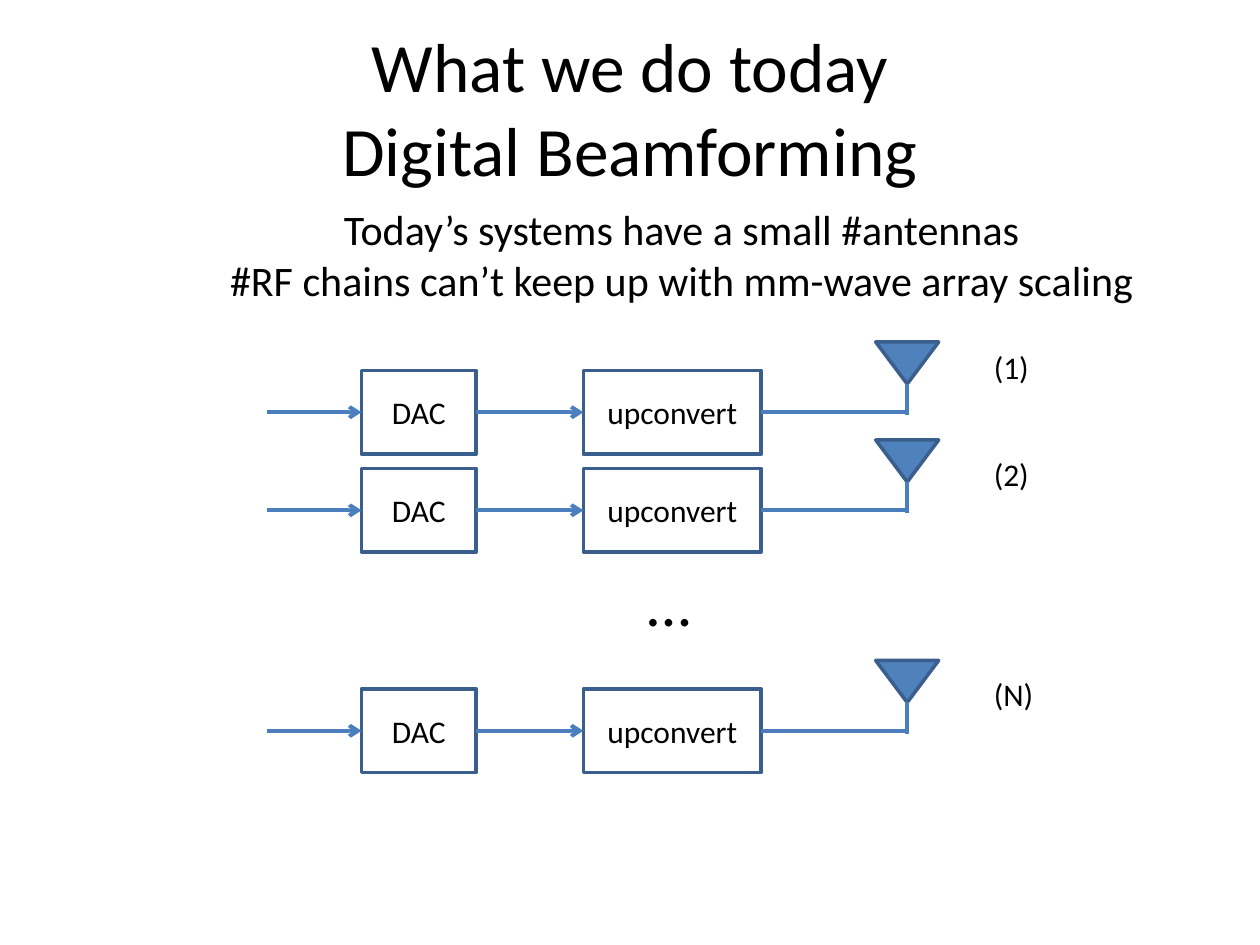
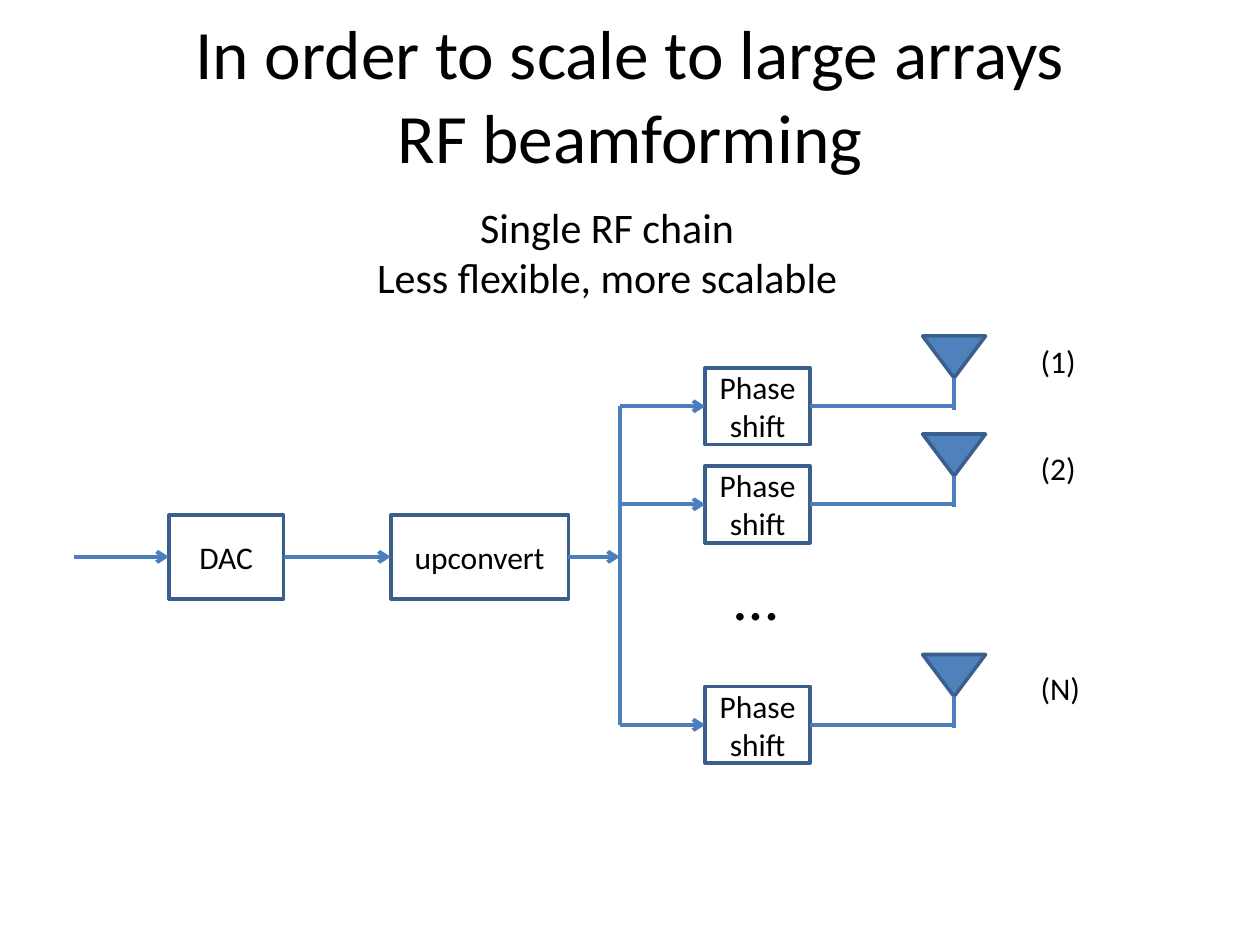
from dataclasses import dataclass
from lxml.etree import SubElement
from pptx import Presentation
from pptx.dml.color import RGBColor
from pptx.enum.shapes import MSO_CONNECTOR, MSO_SHAPE
from pptx.enum.text import MSO_ANCHOR, PP_ALIGN
from pptx.oxml.ns import qn
from pptx.util import Pt

DIGITAL = {
    "title": ("What we do today\vDigital Beamforming", 16),
    "notes": ("Today’s systems have a small #antennas\n"
              "#RF chains can’t keep up with mm-wave array scaling", 120.2, 113, 538.6),
    "axis": 235.6, "mast": 518.4, "dots": 362.9,
}
RADIO = {
    "title": ("In order to scale to large arrays\vRF beamforming", 8.6),
    "notes": ("Single RF chain\nLess flexible, more scalable", 206.6, 111.6, 280.8),
    "axis": 232.2, "mast": 545.2, "dots": 412.6,
}
# label, drop of the row below the first one, rise of the label above its row
ROWS = [("(1)", 0, 40.4), ("(2)", 56, 35.2), ("(N)", 182, 35.2)]
STAGES = [("DAC", 0, 65.5), ("upconvert", 126.8, 101.5)]
STAGE_H, LEAD = 48, 54
PHASE, PHASE_X, PHASE_W, PHASE_H = "Phase\nshift", 403, 59.8, 44
BUS, TRUNK = 354.2, 318.2


@dataclass(frozen=True)
class Theme:
    font: str = "Calibri"
    ink: RGBColor = RGBColor(0, 0, 0)
    blue: RGBColor = RGBColor(0x4F, 0x81, 0xBD)
    edge: RGBColor = RGBColor(0x3A, 0x5F, 0x8C)
    wire: RGBColor = RGBColor(0x4B, 0x7E, 0xBC)
    title: float = 39.6
    notes: float = 24
    label: float = 18
    dots: float = 36
    rim: float = 2
    cable: float = 2.25


LOOK = Theme()


def apply(target, values):
    for name, value in values.items():
        setattr(target, name, value)


def write(shape, text, size, align=PP_ALIGN.CENTER, **frame):
    body = shape.text_frame
    body.text = text
    apply(body, frame)
    for para in body.paragraphs:
        para.alignment = align
        apply(para.font, {"name": LOOK.font, "size": Pt(size)})
        para.font.color.rgb = LOOK.ink


def add_text(slide, text, size, spot, **style):
    write(slide.shapes.add_textbox(*map(Pt, spot)), text, size, **style)


def add_solid(slide, kind, spot, fill=None):
    shape = slide.shapes.add_shape(kind, *map(Pt, spot))
    shape.shadow.inherit = False
    if fill is None:
        shape.fill.background()
    else:
        shape.fill.solid()
        shape.fill.fore_color.rgb = fill
    shape.line.color.rgb = LOOK.edge
    shape.line.width = Pt(LOOK.rim)
    return shape


def add_box(slide, text, left, mid, width, height):
    box = add_solid(slide, MSO_SHAPE.RECTANGLE, (left, mid - height / 2, width, height))
    write(box, text, LOOK.label, vertical_anchor=MSO_ANCHOR.MIDDLE, word_wrap=True)
    return box


def link(slide, start, end, arrow=False):
    """Run a wire between two ends, each a point or a box (right side out, left side in)."""
    spots = [(0, 0) if hasattr(item, "text_frame") else item for item in (start, end)]
    wire = slide.shapes.add_connector(
        MSO_CONNECTOR.STRAIGHT, *(Pt(n) for spot in spots for n in spot))
    if hasattr(start, "text_frame"):
        wire.begin_connect(start, 3)
    if hasattr(end, "text_frame"):
        wire.end_connect(end, 1)
    wire.line.color.rgb = LOOK.wire
    wire.line.width = Pt(LOOK.cable)
    if arrow:
        SubElement(wire.line._get_or_add_ln(), qn("a:tailEnd"), type="arrow")
    SubElement(wire._element.spPr, qn("a:effectLst"))


def add_chain(slide, left, mid):
    """Draw the lead-in arrow, DAC and upconverter; return the last box."""
    last = (left - LEAD, mid)
    for text, shift, width in STAGES:
        box = add_box(slide, text, left + shift, mid, width, STAGE_H)
        link(slide, last, box, arrow=True)
        last = box
    return last


def add_mast(slide, source, mast, mid, label, rise):
    cone = add_solid(slide, MSO_SHAPE.ISOSCELES_TRIANGLE,
                     (mast - 18, mid - 40.2, 36, 24), LOOK.blue)
    cone.rotation = 180
    link(slide, source, (mast, mid))
    link(slide, (mast, mid + 1.8), (mast, mid - 16.2))
    add_text(slide, label, LOOK.label, (mast + 42.4, mid - rise, 42, 29),
             align=PP_ALIGN.LEFT, word_wrap=True)


def add_page(deck, page, feed):
    """Draw the shared parts; feed(slide, mid) returns the box before each antenna."""
    slide = deck.slides.add_slide(deck.slide_layouts[6])
    title, top = page["title"]
    add_text(slide, title, LOOK.title, (36, top, 648, 90),
             vertical_anchor=MSO_ANCHOR.MIDDLE, word_wrap=True)
    notes, left, top, width = page["notes"]
    add_text(slide, notes, LOOK.notes, (left, top, width, 65.4), word_wrap=False)
    for label, drop, rise in ROWS:
        mid = page["axis"] + drop
        add_mast(slide, feed(slide, mid), page["mast"], mid, label, rise)
    add_text(slide, "…", LOOK.dots, (page["dots"], page["axis"] + 82.8, 39.6, 51),
             align=PP_ALIGN.LEFT, word_wrap=False)
    return slide


def add_phase(slide, mid):
    box = add_box(slide, PHASE, PHASE_X, mid, PHASE_W, PHASE_H)
    link(slide, (BUS, mid), box, arrow=True)
    return box


def main():
    deck = Presentation()
    apply(deck, {"slide_width": Pt(720), "slide_height": Pt(540)})
    add_page(deck, DIGITAL, lambda slide, mid: add_chain(slide, 206.6, mid))
    slide = add_page(deck, RADIO, add_phase)
    link(slide, add_chain(slide, 96.5, TRUNK), (BUS, TRUNK), arrow=True)
    link(slide, (BUS, RADIO["axis"] + ROWS[-1][1]), (BUS, RADIO["axis"]))
    deck.save("out.pptx")


if __name__ == "__main__":
    main()
